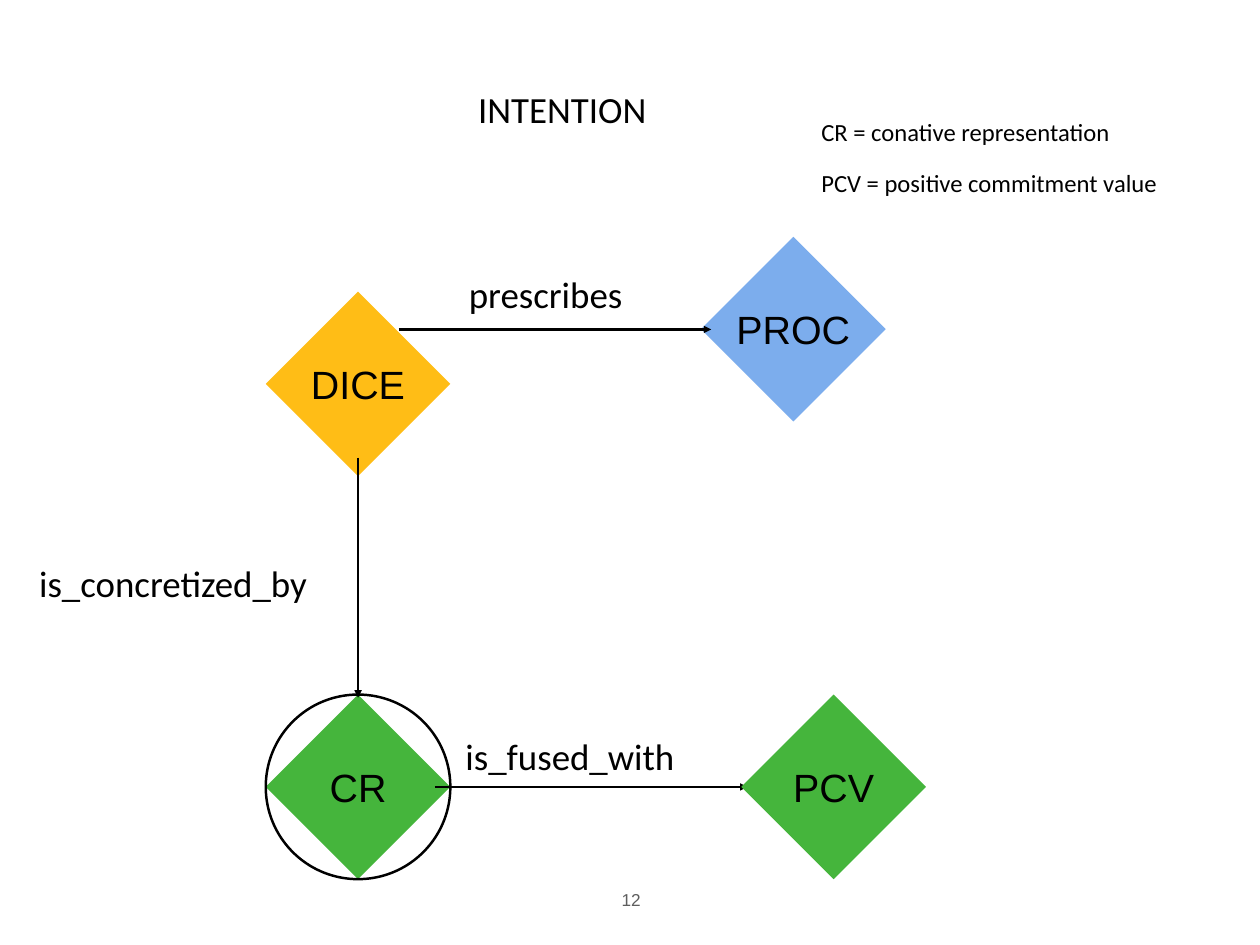
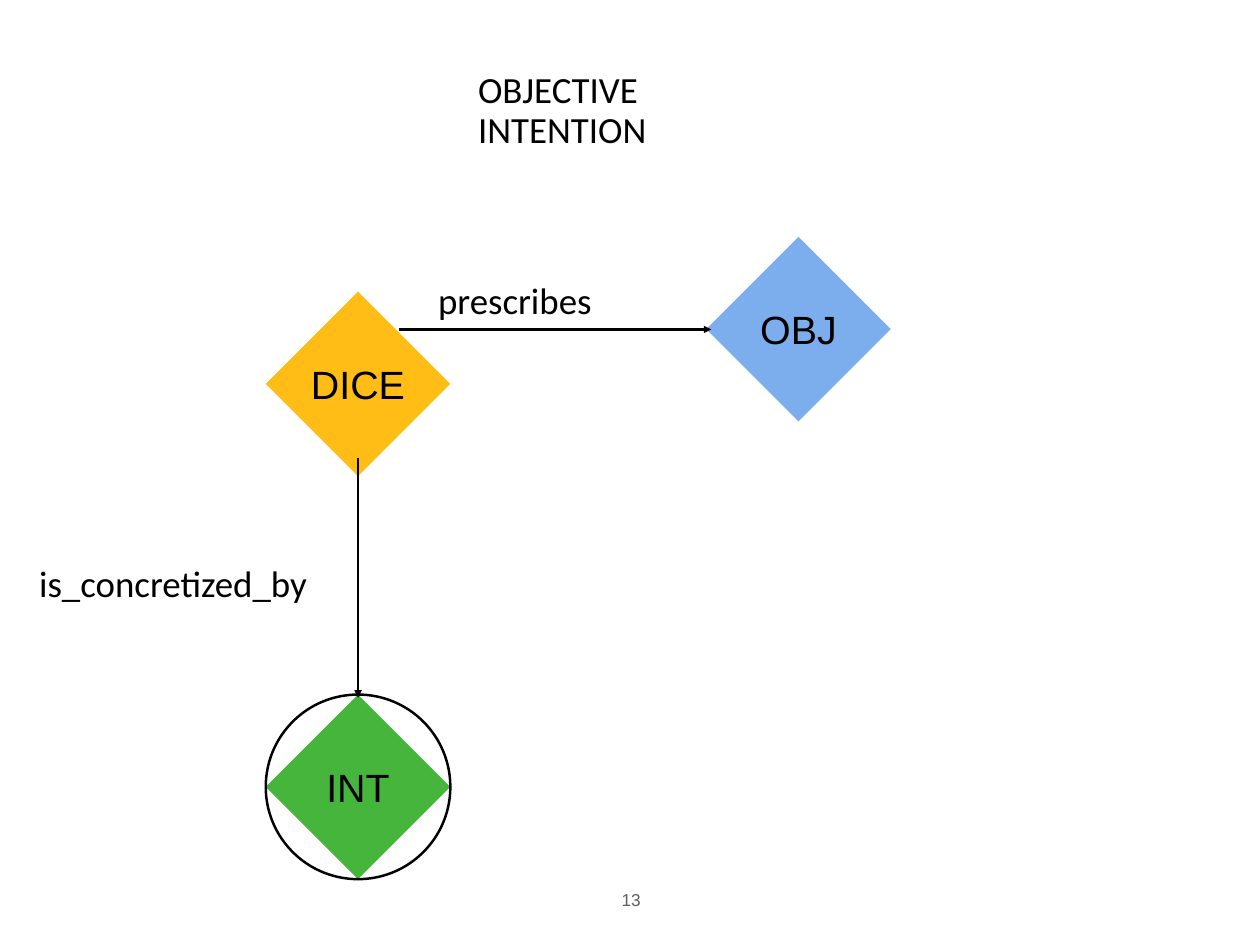
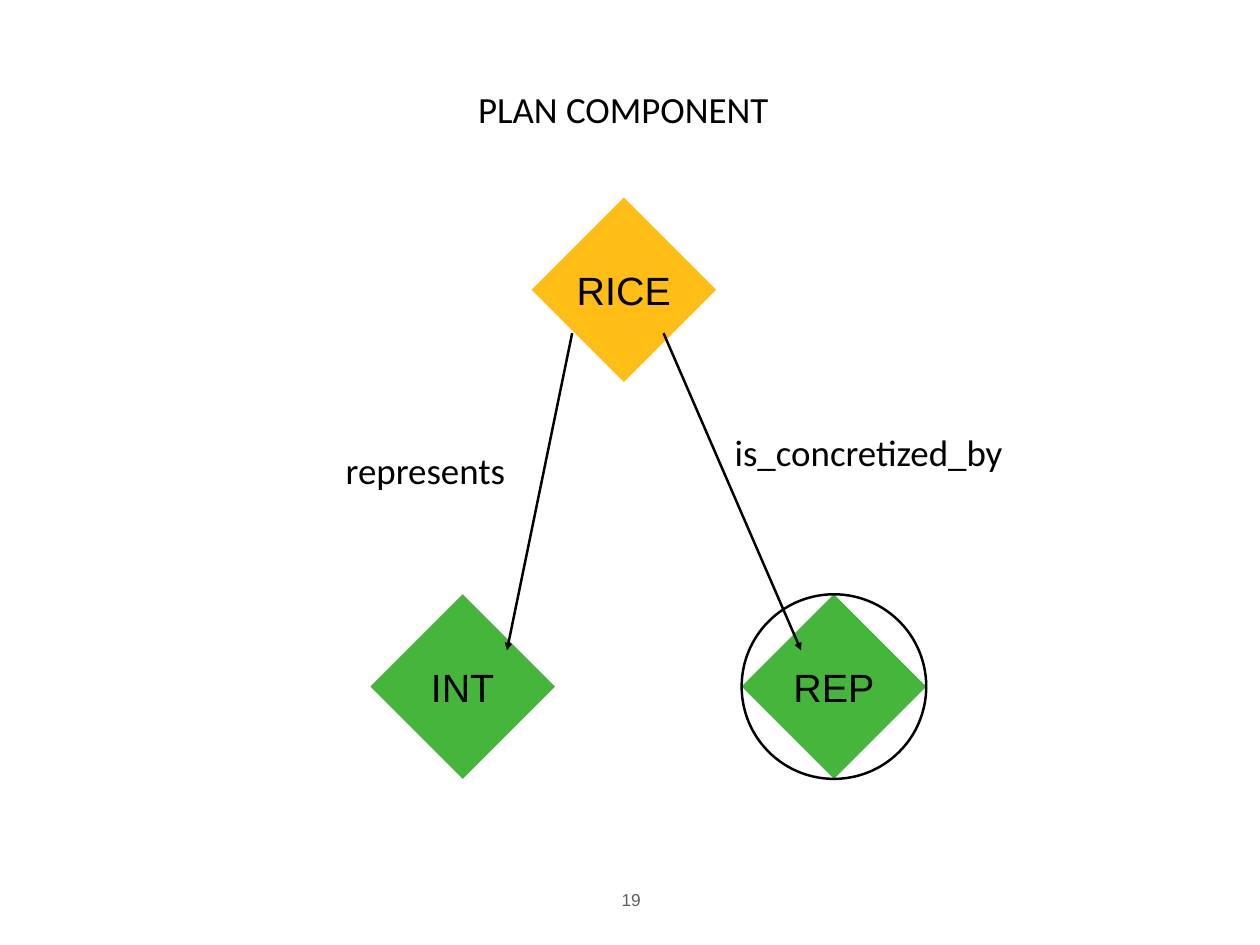
from lxml.etree import SubElement
from pptx import Presentation
from pptx.dml.color import RGBColor
from pptx.enum.shapes import MSO_CONNECTOR, MSO_SHAPE
from pptx.enum.text import MSO_ANCHOR, PP_ALIGN
from pptx.oxml.ns import qn
from pptx.util import Pt

COLORS = {
    "ink": "000000",
    "number": "5E5E5E",
    "process": "7CADED",
    "content": "FFBD16",
    "quality": "45B53C",
}
NODE_SIZE = 150
LINE_WIDTH = 2
INSET = 4.5
LABEL_HEIGHT = 52.5
TITLE_BOX = (384, 44, 257, 93)
NUMBER_BOX = (492, 718, 42, 26)

DICE = ("node", "DICE", "content", 216, 237)
PRESCRIBES_ARROW = ("arrow", 324, 267.75, 578, 267.75)
CONCRETIZED_ARROW = ("arrow", 291, 372, 291, 567)
CONCRETIZED_LABEL = ("label", "is_concretized_by", 27.25, 449.25, 254)
CONCRETIZED_RING = ("ring", 216, 564.5)

SLIDES = [
    {
        "title": "INTENTION",
        "number": "12",
        "parts": [
            ("node", "PROC", "process", 569.75, 192.5),
            DICE,
            PRESCRIBES_ARROW,
            ("node", "CR", "quality", 216, 564.5),
            CONCRETIZED_ARROW,
            ("label", "prescribes", 376.5, 214.5, 150),
            CONCRETIZED_LABEL,
            ("arrow", 353.5, 639.5, 607.5, 639.5),
            ("node", "PCV", "quality", 602.5, 564.5),
            ("label", "is_fused_with", 373.75, 590.5, 193),
            ("legend", ["CR = conative representation", "PCV = positive commitment value"],
             663, 87, 315, 85),
            CONCRETIZED_RING,
        ],
    },
    {
        "title": "OBJECTIVE INTENTION",
        "number": "13",
        "parts": [
            DICE,
            ("node", "OBJ", "process", 574, 192.5),
            PRESCRIBES_ARROW,
            ("node", "INT", "quality", 216, 564.5),
            CONCRETIZED_ARROW,
            CONCRETIZED_LABEL,
            ("label", "prescribes", 351.5, 219.5, 150),
            CONCRETIZED_RING,
        ],
    },
    {
        "title": "PLAN COMPONENT",
        "number": "19",
        "parts": [
            ("node", "RICE", "content", 432, 160.5),
            ("node", "REP", "quality", 602.75, 483),
            ("arrow", 539.25, 270.75, 651, 528.5),
            ("node", "INT", "quality", 301, 483),
            ("arrow", 465, 270.75, 412, 528.5),
            ("label", "represents", 276.5, 358, 152),
            ("label", "is_concretized_by", 592.5, 343.25, 254),
            ("ring", 602.75, 483),
        ],
    },
]


def color(name):
    return RGBColor.from_string(COLORS[name])


def points(*values):
    return [Pt(value) for value in values]


def write(shape, lines, size, font="Calibri", ink="ink", align=PP_ALIGN.LEFT,
          anchor=MSO_ANCHOR.MIDDLE, wrap=True, line_spacing=None):
    frame = shape.text_frame
    frame.word_wrap = wrap
    frame.vertical_anchor = anchor
    frame.margin_left = frame.margin_right = Pt(INSET)
    frame.margin_top = frame.margin_bottom = Pt(INSET)
    for index, line in enumerate(lines):
        paragraph = frame.add_paragraph() if index else frame.paragraphs[0]
        paragraph.text = line
        paragraph.alignment = align
        if line_spacing:
            paragraph.line_spacing = line_spacing
        if index:
            paragraph.space_before = Pt(20)
        paragraph.font.name = font
        paragraph.font.size = Pt(size)
        paragraph.font.color.rgb = color(ink)


def add_text(page, lines, box, size):
    write(page.shapes.add_textbox(*points(*box)), lines, size, line_spacing=0.9)


def add_label(page, text, left, top, width):
    add_text(page, [text], (left, top, width, LABEL_HEIGHT), 30)


def add_legend(page, lines, *box):
    add_text(page, lines, box, 20)


def add_node(page, text, fill, left, top):
    node = page.shapes.add_shape(MSO_SHAPE.DIAMOND, *points(left, top, NODE_SIZE, NODE_SIZE))
    node.shadow.inherit = False
    node.fill.solid()
    node.fill.fore_color.rgb = color(fill)
    node.line.fill.background()
    write(node, [text], 32, "Arial", align=PP_ALIGN.CENTER, wrap=False)


def add_ring(page, left, top):
    ring = page.shapes.add_shape(MSO_SHAPE.OVAL, *points(left, top, NODE_SIZE, NODE_SIZE))
    ring.shadow.inherit = False
    ring.fill.background()
    ring.line.color.rgb = color("ink")
    ring.line.width = Pt(LINE_WIDTH)


def add_arrow(page, *ends):
    arrow = page.shapes.add_connector(MSO_CONNECTOR.STRAIGHT, *points(*ends))
    arrow.line.color.rgb = color("ink")
    arrow.line.width = Pt(LINE_WIDTH)
    SubElement(arrow.line._get_or_add_ln(), qn("a:tailEnd"), type="triangle")
    SubElement(arrow._element.spPr, qn("a:effectLst"))


def add_number(page, number):
    box = page.shapes.add_textbox(*points(*NUMBER_BOX))
    write(box, [number], 14, "Arial", "number", PP_ALIGN.CENTER, MSO_ANCHOR.BOTTOM)


BUILDERS = {
    "node": add_node,
    "ring": add_ring,
    "arrow": add_arrow,
    "label": add_label,
    "legend": add_legend,
}


def main():
    deck = Presentation()
    deck.slide_width, deck.slide_height = points(1024, 768)
    for content in SLIDES:
        page = deck.slides.add_slide(deck.slide_layouts[6])
        add_text(page, [content["title"]], TITLE_BOX, 30)
        for kind, *details in content["parts"]:
            BUILDERS[kind](page, *details)
        add_number(page, content["number"])
    deck.save("out.pptx")


if __name__ == "__main__":
    main()
